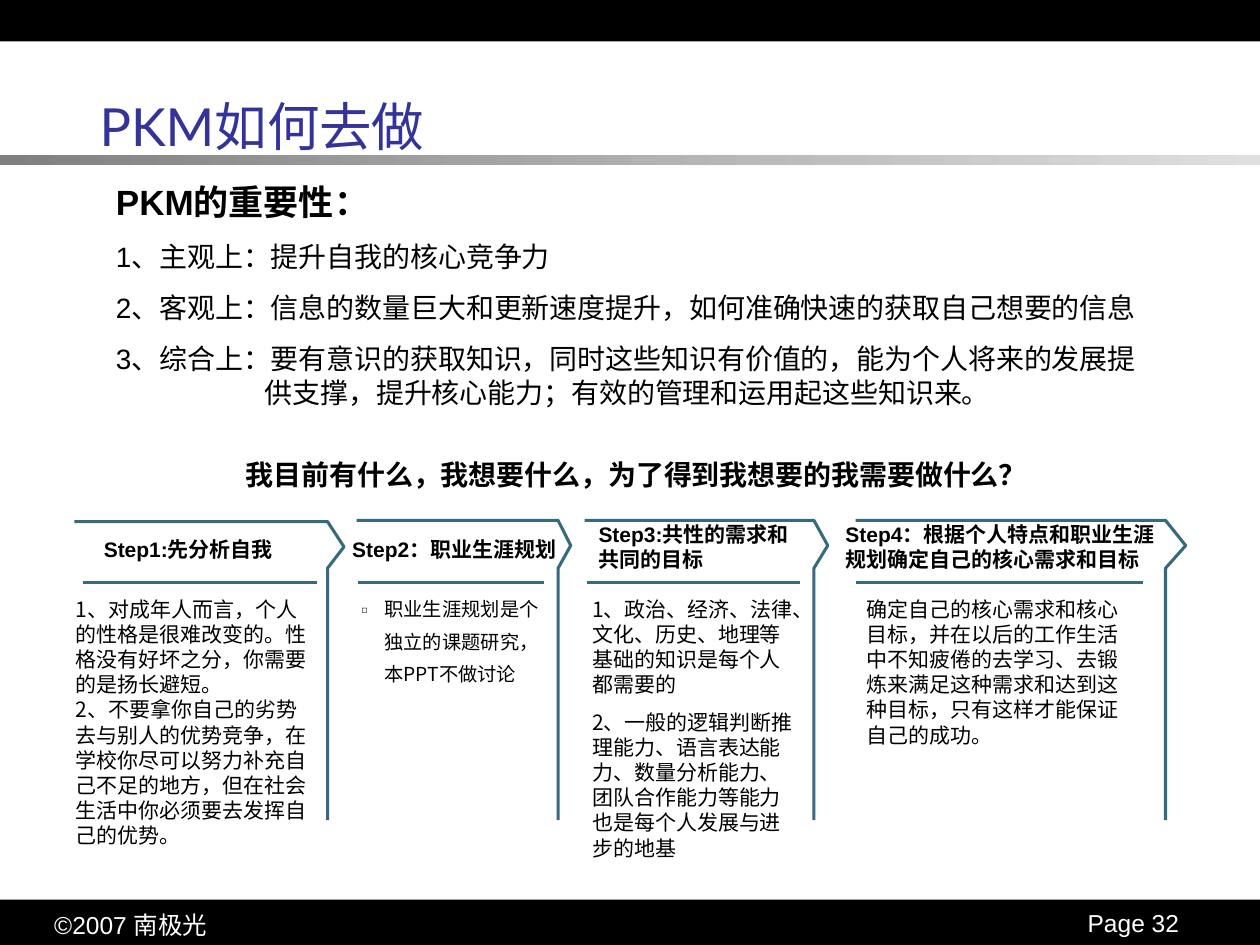
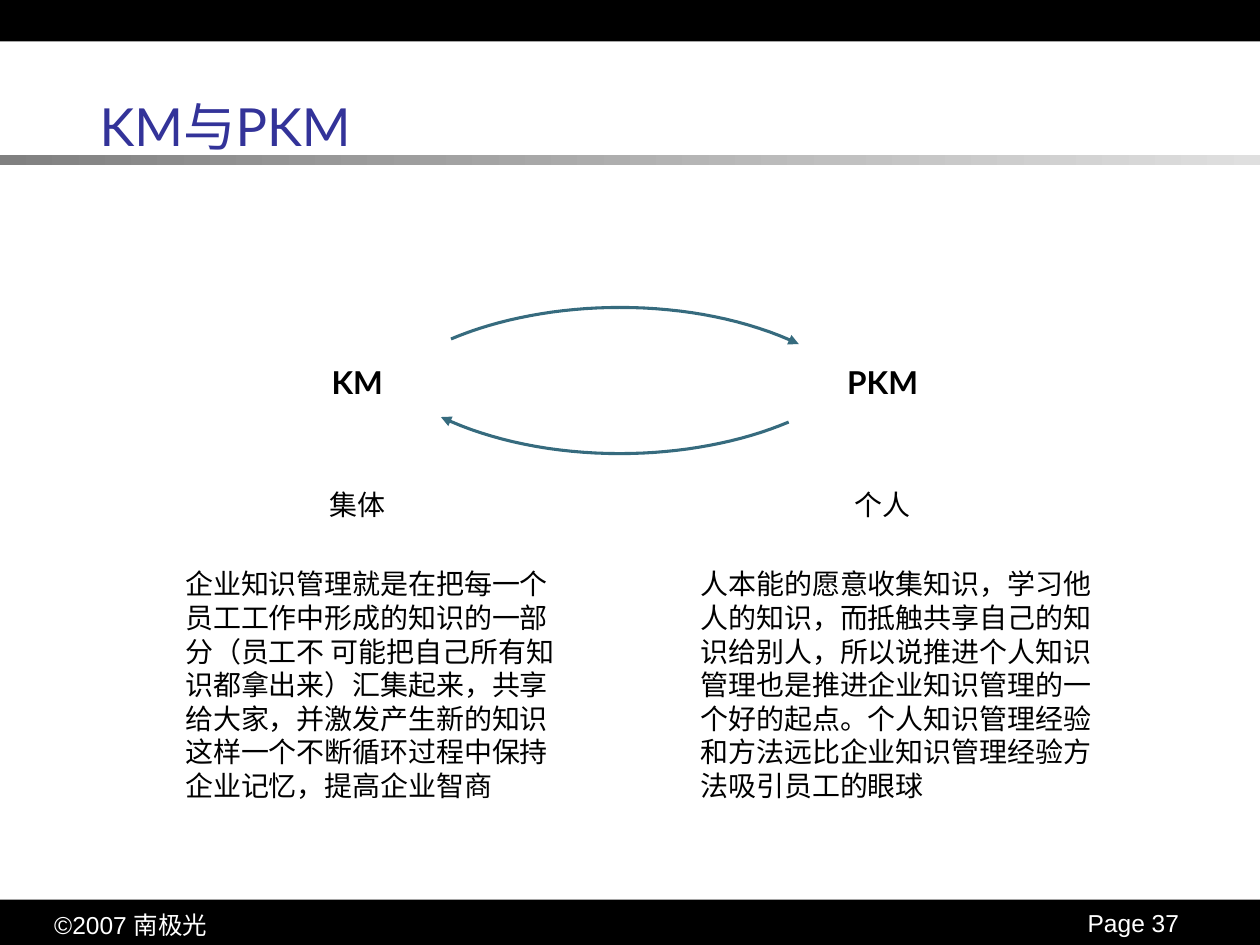
from dataclasses import dataclass

from lxml.etree import SubElement
from pptx import Presentation
from pptx.dml.color import RGBColor as Rgb
from pptx.enum.shapes import MSO_CONNECTOR as Connector, MSO_SHAPE as Preset
from pptx.enum.text import MSO_ANCHOR as Anchor, PP_ALIGN as Align
from pptx.oxml.ns import qn
from pptx.util import Inches, Pt


@dataclass(frozen=True)
class Theme:
    black: Rgb = Rgb(0, 0, 0)
    white: Rgb = Rgb(255, 255, 255)
    title: Rgb = Rgb(0x33, 0x33, 0x99)
    accent: Rgb = Rgb(0x36, 0x6B, 0x7E)
    rule_start: Rgb = Rgb(0x80, 0x80, 0x80)
    rule_end: Rgb = Rgb(0xDF, 0xDF, 0xDF)
    sans: str = "Arial"
    display: str = "Lato"
    chinese: str = "Noto Sans CJK SC"
    title_size: int = 30
    heading_size: int = 20
    label_size: int = 18
    text_size: int = 16
    footer_size: int = 14
    step_size: int = 12
    note_size: int = 11
    line_width: float = 1.75
    padding: tuple = (0.09, 0.04)


THEME = Theme()


@dataclass(frozen=True)
class Para:
    text: str
    size: int = THEME.text_size
    font: str = THEME.chinese
    color: Rgb = THEME.black
    bold: bool = False
    align: Align = Align.LEFT
    before: float = 0
    spacing: float = 1.0
    hanging: float = 0
    bullet: str = ""


@dataclass(frozen=True)
class Step:
    title: str
    title_box: tuple
    title_align: Align
    top: float
    left: float
    shoulder: float
    tip: float
    underline: tuple
    body_box: tuple
    body: tuple


def step_note(text, before=0):
    return Para(text, THEME.step_size, before=before)


STEPS = (
    Step("Step1:先分析自我", (0.67, 4.26, 1.65, 0.2), Align.CENTER,
         4.14, 0.59, 2.6, 2.73, (0.66, 2.52), (0.51, 4.69, 2.05, 2.09),
         (step_note("1、对成年人而言，个人的性格是很难改变的。性格没有好坏之分，"
                    "你需要的是扬长避短。"),
          step_note("2、不要拿你自己的劣势去与别人的优势竞争，在学校你尽可以努力补充"
                    "自己不足的地方，但在社会生活中你必须要去发挥自己的优势。"))),
    Step("Step2：职业生涯规划", (2.78, 4.16, 1.65, 0.4), Align.CENTER,
         4.13, 2.83, 4.43, 4.53, (2.84, 4.32), (2.78, 4.63, 1.71, 0.85),
         (Para("职业生涯规划是个独立的课题研究，本PPT不做讨论", THEME.note_size,
               spacing=1.4, hanging=0.18, bullet="◻"),)),
    Step("Step3:共性的需求和共同的目标", (4.75, 4.14, 1.59, 0.4), Align.LEFT,
         4.13, 4.64, 6.46, 6.57, (4.66, 6.35), (4.61, 4.69, 1.81, 2.19),
         (step_note("1、政治、经济、法律、文化、历史、地理等基础的知识是每个人都需要的"),
          step_note("2、一般的逻辑判断推理能力、语言表达能力、数量分析能力、"
                    "团队合作能力等能力也是每个人发展与进步的地基", 7))),
    Step("Step4：根据个人特点和职业生涯规划确定自己的核心需求和目标",
         (6.71, 4.14, 2.52, 0.4), Align.LEFT,
         4.13, 6.79, 9.25, 9.41, (6.79, 9.07), (6.79, 4.69, 2.28, 1.29),
         (step_note("确定自己的核心需求和核心目标，并在以后的工作生活中不知疲倦的去学习、"
                    "去锻炼来满足这种需求和达到这种目标，只有这样才能保证自己的成功。"),)),
)


def write_paragraph(paragraph, para):
    paragraph.alignment = para.align
    paragraph.space_before = Pt(para.before)
    paragraph.line_spacing = para.spacing
    props = paragraph._p.get_or_add_pPr()
    if para.hanging:
        props.set("marL", str(Inches(para.hanging)))
        props.set("indent", str(-Inches(para.hanging)))
    if para.bullet:
        SubElement(props, qn("a:buSzPct"), val="50000")
        SubElement(props, qn("a:buFont"), typeface=THEME.chinese)
        SubElement(props, qn("a:buChar"), char=para.bullet)
    run = paragraph.add_run()
    run.text = para.text
    run.font.size = Pt(para.size)
    run.font.name = para.font
    run.font.bold = para.bold
    run.font.color.rgb = para.color
    SubElement(run._r.get_or_add_rPr(), qn("a:ea"), typeface=THEME.chinese)


def add_text(slide, box, *paras, anchor=Anchor.TOP, padding=THEME.padding, wrap=True):
    frame = slide.shapes.add_textbox(*map(Inches, box)).text_frame
    frame.word_wrap = wrap
    frame.vertical_anchor = anchor
    frame.margin_left = frame.margin_right = Inches(padding[0])
    frame.margin_top = frame.margin_bottom = Inches(padding[1])
    for index, para in enumerate(paras):
        write_paragraph(frame.add_paragraph() if index else frame.paragraphs[0], para)


def add_band(slide, top, height):
    band = slide.shapes.add_shape(Preset.RECTANGLE, 0, Inches(top), Inches(10), Inches(height))
    band.shadow.inherit = False
    band.line.fill.background()
    return band.fill


def style_line(line):
    line.color.rgb = THEME.accent
    line.width = Pt(THEME.line_width)


def add_outline(slide, points):
    start, *rest = [(Inches(x), Inches(y)) for x, y in points]
    builder = slide.shapes.build_freeform(*start)
    builder.add_line_segments(rest, close=False)
    outline = builder.convert_to_shape()
    outline.shadow.inherit = False
    outline.fill.background()
    style_line(outline.line)
    return outline


def add_underline(slide, start, end, y):
    underline = slide.shapes.add_connector(
        Connector.STRAIGHT, Inches(end), Inches(y), Inches(start), Inches(y))
    style_line(underline.line)
    SubElement(underline._element.spPr, qn("a:effectLst"))


def bezier(p0, p1, p2, p3, pieces=16):
    for index in range(pieces + 1):
        t = index / pieces
        weights = ((1 - t) ** 3, 3 * t * (1 - t) ** 2, 3 * t * t * (1 - t), t ** 3)
        yield tuple(sum(w * c for w, c in zip(weights, axis))
                    for axis in zip(p0, p1, p2, p3))


def add_curved_arrow(slide, points):
    arrow = add_outline(slide, points)
    SubElement(arrow.line._get_or_add_ln(), qn("a:headEnd"), type="triangle")


def add_step(slide, step):
    add_outline(slide, ((step.left, step.top), (step.shoulder, step.top),
                        (step.tip, step.top + 0.2), (step.shoulder, 4.51),
                        (step.shoulder, 6.51)))
    add_underline(slide, *step.underline, 4.62)
    add_text(slide, step.title_box,
             Para(step.title, THEME.step_size, THEME.sans, bold=True, align=step.title_align),
             anchor=Anchor.MIDDLE, padding=(0, 0))
    add_text(slide, step.body_box, *step.body)


def add_page(deck, title, number):
    slide = deck.slides.add_slide(deck.slide_layouts[6])
    for top in (7.14, -0.03):
        fill = add_band(slide, top, 0.36)
        fill.solid()
        fill.fore_color.rgb = THEME.black
    rule = add_band(slide, 1.23, 0.08)
    rule.gradient()
    rule.gradient_angle = 0
    for stop, color in zip(rule.gradient_stops, (THEME.rule_start, THEME.rule_end)):
        stop.color.rgb = color
    add_text(slide, (0.34, 7.18, 1.52, 0.32),
             Para("©2007 南极光", THEME.footer_size, THEME.sans, THEME.white),
             anchor=Anchor.MIDDLE, wrap=False)
    add_text(slide, (7.99, 7.16, 2.01, 0.36),
             Para(f"Page {number}", THEME.footer_size, THEME.sans, THEME.white,
                  align=Align.CENTER, spacing=0.85),
             anchor=Anchor.MIDDLE, padding=(0, 0))
    add_text(slide, (0.7, 0.52, 8.47, 0.95),
             Para(title, THEME.title_size, THEME.display, THEME.title), anchor=Anchor.MIDDLE)
    return slide


def build_how_to(deck):
    slide = add_page(deck, "PKM如何去做", 32)
    reasons = (
        "1、主观上：提升自我的核心竞争力",
        "2、客观上：信息的数量巨大和更新速度提升，如何准确快速的获取自己想要的信息",
        "3、综合上：要有意识的获取知识，同时这些知识有价值的，能为个人将来的发展提供支撑，"
        "提升核心能力；有效的管理和运用起这些知识来。",
    )
    add_text(slide, (0.83, 1.39, 8.35, 1.9),
             Para("PKM的重要性：", THEME.heading_size, THEME.sans, bold=True,
                  before=12.5, hanging=1.18),
             *(Para(reason, font=THEME.sans, before=10, hanging=1.18) for reason in reasons))
    add_text(slide, (1.86, 3.59, 6.45, 0.35),
             Para("我目前有什么，我想要什么，为了得到我想要的我需要做什么？", bold=True, before=10))
    for step in STEPS:
        add_step(slide, step)


def build_comparison(deck):
    slide = add_page(deck, "KM与PKM", 37)
    to_personal = [
        *bezier((6.34, 2.73), (5.94, 2.54), (5.44, 2.44), (4.92, 2.44)),
        *list(bezier((4.92, 2.44), (4.43, 2.44), (3.96, 2.53), (3.58, 2.69)))[1:],
    ]
    add_curved_arrow(slide, to_personal)
    add_curved_arrow(slide, [(9.84 - x, 6.04 - y) for x, y in to_personal])
    sides = (
        ("KM", "集体", 2.835, 1.38, 3.15,
         "企业知识管理就是在把每一个员工工作中形成的知识的一部分（员工不 可能把自己所有知识都拿出来）"
         "汇集起来，共享给大家，并激发产生新的知识这样一个不断循环过程中保持企业记忆，提高企业智商"),
        ("PKM", "个人", 7.005, 5.47, 3.39,
         "人本能的愿意收集知识，学习他人的知识，而抵触共享自己的知识给别人，所以说推进个人知识管理"
         "也是推进企业知识管理的一个好的起点。个人知识管理经验和方法远比企业知识管理经验方法"
         "吸引员工的眼球"),
    )
    for label, scope, center, left, width, description in sides:
        add_text(slide, (center - 0.985, 2.84, 1.97, 0.39),
                 Para(label, THEME.label_size, THEME.display, bold=True,
                      align=Align.CENTER, before=11.2))
        add_text(slide, (center - 0.435, 3.83, 0.87, 0.35),
                 Para(scope, font=THEME.display, align=Align.CENTER, before=10))
        add_text(slide, (left, 4.46, width, 1.95),
                 Para(description, font=THEME.display, before=10))


def main():
    deck = Presentation()
    deck.slide_width = Inches(10)
    deck.slide_height = Inches(7.5)
    build_how_to(deck)
    build_comparison(deck)
    deck.save("out.pptx")


if __name__ == "__main__":
    main()
